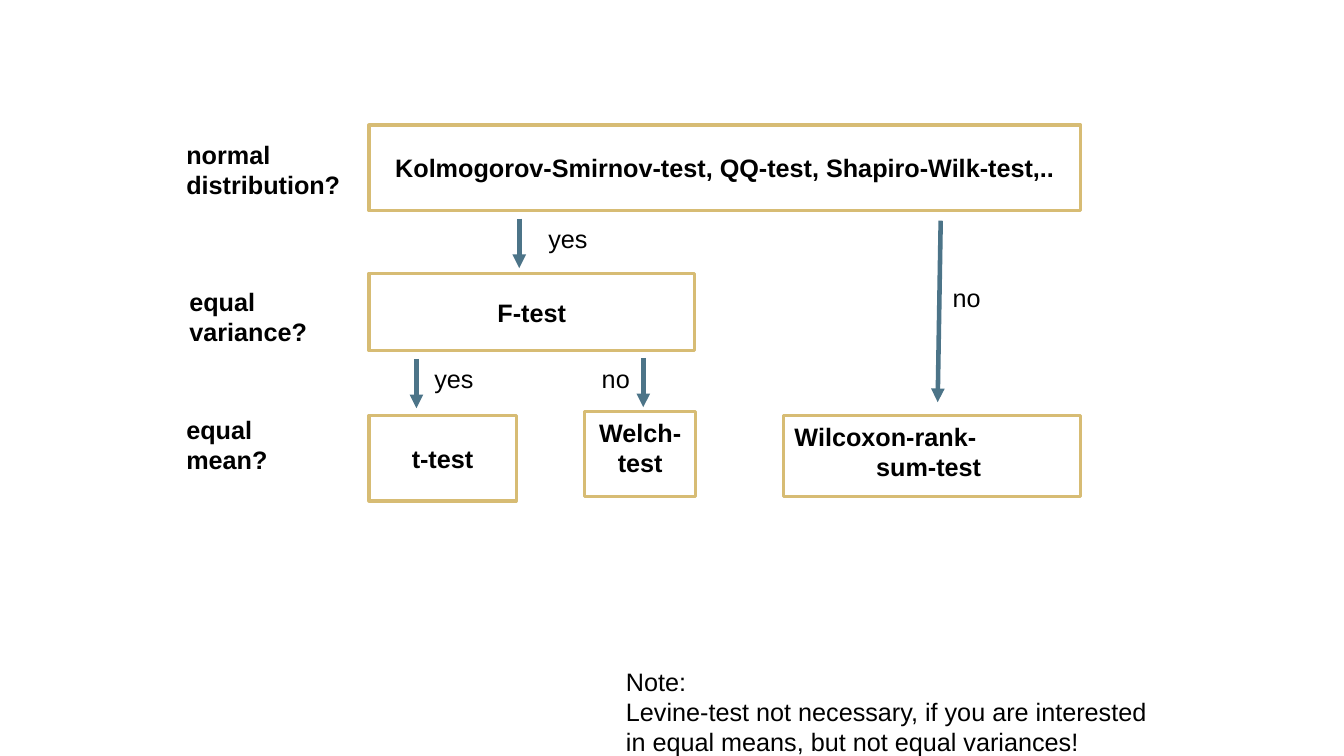
from dataclasses import dataclass

from lxml import etree
from pptx import Presentation
from pptx.dml.color import RGBColor
from pptx.enum import shapes, text
from pptx.oxml import ns
from pptx.util import Inches, Pt


@dataclass
class Theme:
    font: str = "Arial"
    size: Pt = Pt(18)
    ink: RGBColor = RGBColor(0, 0, 0)
    paper: RGBColor = RGBColor(255, 255, 255)
    border: RGBColor = RGBColor(0xD7, 0xBC, 0x74)
    arrow: RGBColor = RGBColor(0x4C, 0x74, 0x88)


theme = Theme()
MIDDLE, TOP = text.MSO_ANCHOR.MIDDLE, text.MSO_ANCHOR.TOP
LEFT, CENTER = text.PP_ALIGN.LEFT, text.PP_ALIGN.CENTER


def write(sp, lines, bold, anchor=TOP, align=LEFT):
    tf = sp.text_frame
    tf.word_wrap = True
    tf.vertical_anchor = anchor
    tf.text = lines
    for p in tf.paragraphs:
        p.alignment = align
        for r in p.runs:
            r.font.name = theme.font
            r.font.size = theme.size
            r.font.bold = bold
            r.font.color.rgb = theme.ink
    return tf


prs = Presentation()
prs.slide_width, prs.slide_height = Inches(13.33), Inches(7.5)
s = prs.slides.add_slide(prs.slide_layouts[6])

tests = [
    ("Kolmogorov-Smirnov-test, QQ-test, Shapiro-Wilk-test,..", 3.66, 1.24, 7.06, 0.85, MIDDLE),
    ("F-test", 3.66, 2.71, 3.23, 0.77, MIDDLE),
    ("t-test", 3.66, 4.12, 1.46, 0.85, MIDDLE),
    ("Wilcoxon-rank-\nsum-test ", 7.77, 4.12, 2.95, 0.81, TOP),
    ("Welch-\ntest", 5.8, 4.08, 1.1, 0.85, TOP),
]
for name, x, y, w, h, anchor in tests:
    sp = s.shapes.add_shape(
        shapes.MSO_SHAPE.RECTANGLE, Inches(x), Inches(y), Inches(w), Inches(h))
    sp.shadow.inherit = False
    sp.fill.solid()
    sp.fill.fore_color.rgb = theme.paper
    sp.line.color.rgb = theme.border
    sp.line.width = Pt(2.25)
    tf = write(sp, name, True, anchor, CENTER)
    tf.margin_left = tf.margin_right = Inches(0.11)
    tf.margin_top = tf.margin_bottom = Inches(0.06)
    for p in tf.paragraphs:
        pPr = p._p.get_or_add_pPr()
        pPr.set("marL", str(Inches(0.2)))
        pPr.set("indent", str(-Inches(0.2)))
    if name.startswith("Wilcoxon"):
        tf.paragraphs[0].alignment = LEFT

labels = [
    ("normal\ndistribution?", 1.75, 1.33, 1.8, 0.7, True),
    ("equal\nvariance?", 1.78, 2.79, 1.46, 0.7, True),
    ("equal\nmean?", 1.75, 4.06, 1.1, 0.7, True),
    ("yes", 5.34, 2.17, 0.77, 0.4, False),
    ("yes", 4.21, 3.56, 0.77, 0.4, False),
    ("no", 5.87, 3.56, 0.77, 0.4, False),
    ("no", 9.35, 2.75, 0.77, 0.4, False),
    ("Note:\nLevine-test not necessary, if you are interested\n"
     "in equal means, but not equal variances!", 6.11, 6.56, 5.45, 1, False),
]
for label, x, y, w, h, bold in labels:
    sp = s.shapes.add_textbox(Inches(x), Inches(y), Inches(w), Inches(h))
    write(sp, label, bold)

arrows = [
    (5.15, 2.17, 5.15, 2.66),
    (4.13, 3.56, 4.13, 4.05),
    (6.38, 3.55, 6.38, 4.04),
    (9.33, 2.19, 9.3, 3.99),
]
for ends in arrows:
    arrow = s.shapes.add_connector(
        shapes.MSO_CONNECTOR.STRAIGHT, *[Inches(v) for v in ends])
    arrow.line.color.rgb = theme.arrow
    arrow.line.width = Pt(3.25)
    etree.SubElement(arrow.line._get_or_add_ln(), ns.qn("a:tailEnd"), type="triangle")
    etree.SubElement(arrow._element.spPr, ns.qn("a:effectLst"))

prs.save("out.pptx")
